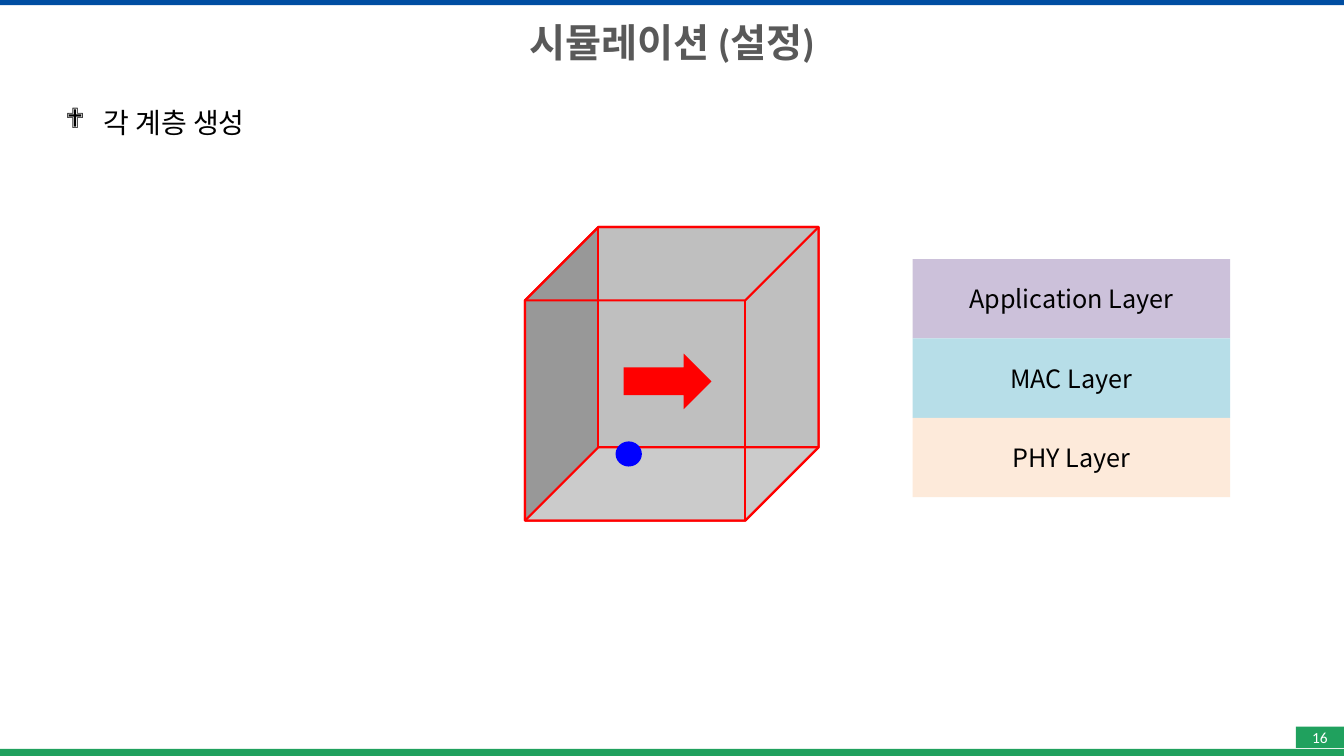
from dataclasses import dataclass

from lxml import etree
from pptx import Presentation
from pptx import util as u
from pptx.dml.color import RGBColor
from pptx.enum import shapes, text
from pptx.oxml import ns

COLORS = {
    "blue_bar": "004EA2", "green": "20A15E", "title": "595959",
    "black": "000000", "white": "FFFFFF", "cube": "BFBFBF",
    "red": "FF0000", "node": "0000FF",
    "application": "CCC1DA", "mac": "B7DEE8", "phy": "FDEADA",
}
KIND = shapes.MSO_SHAPE
LATIN, KOREAN = "Calibri", "Noto Sans CJK KR"
WIDTH, HEIGHT = 33.87, 19.05


@dataclass
class Block:
    """A preset shape; lengths in centimetres."""
    kind: int
    left: float
    top: float
    width: float
    height: float
    fill: str = ""
    line: str = ""
    rotation: float = 0
    label: str = ""
    font: str = KOREAN
    size: float = 18
    color: str = "black"


def rgb(name: str) -> RGBColor:
    return RGBColor.from_string(COLORS[name])


def add_run(paragraph, words: str, font: str, size: float, color: str,
            bold: bool = False) -> None:
    run = paragraph.add_run()
    run.text = words
    run.font.name, run.font.size, run.font.bold = font, u.Pt(size), bold
    run.font.color.rgb = rgb(color)
    east_asian = etree.SubElement(run.font._element, ns.qn("a:ea"))
    east_asian.set("typeface", KOREAN)


def place(shape, left: float, top: float, width: float, height: float) -> None:
    shape.left, shape.top = u.Cm(left), u.Cm(top)
    shape.width, shape.height = u.Cm(width), u.Cm(height)


def draw_block(slide, block: Block) -> None:
    shape = slide.shapes.add_shape(
        block.kind, u.Cm(block.left), u.Cm(block.top),
        u.Cm(block.width), u.Cm(block.height))
    shape.shadow.inherit = False
    shape.rotation = block.rotation
    if block.fill:
        shape.fill.solid()
        shape.fill.fore_color.rgb = rgb(block.fill)
    else:
        shape.fill.background()
    if block.line:
        shape.line.color.rgb = rgb(block.line)
        shape.line.width = u.Pt(1.5)
    else:
        shape.line.fill.background()
    if block.label:
        frame = shape.text_frame
        frame.margin_left = frame.margin_right = 0
        frame.margin_top = frame.margin_bottom = 0
        frame.vertical_anchor = text.MSO_ANCHOR.MIDDLE
        paragraph = frame.paragraphs[0]
        paragraph.alignment = text.PP_ALIGN.CENTER
        add_run(paragraph, block.label, block.font, block.size, block.color)


def write_title(slide, words: str) -> None:
    title = slide.shapes.title
    place(title, 0.66, 0.2, 32.54, 1.7)
    frame = title.text_frame
    frame.auto_size = text.MSO_AUTO_SIZE.NONE
    frame.vertical_anchor = text.MSO_ANCHOR.MIDDLE
    paragraph = frame.paragraphs[0]
    paragraph.alignment = text.PP_ALIGN.CENTER
    add_run(paragraph, words, LATIN, 28, "title", bold=True)


def write_bullet(slide, words: str) -> None:
    box = slide.shapes.add_textbox(u.Cm(1.4), u.Cm(2.11), u.Cm(31.8), u.Cm(15.8))
    box.text_frame.word_wrap = True
    paragraph = box.text_frame.paragraphs[0]
    paragraph.line_spacing = 1.5
    paragraph.space_after = u.Pt(6)
    properties = paragraph._p.get_or_add_pPr()
    indent = int(u.Cm(0.95))
    properties.set("marL", str(indent))
    properties.set("indent", str(-indent))
    bullet_font = etree.SubElement(properties, ns.qn("a:buFont"))
    bullet_font.set("typeface", "Wingdings")
    bullet = etree.SubElement(properties, ns.qn("a:buChar"))
    bullet.set("char", "❖")
    add_run(paragraph, words, LATIN, 20, "black")


def main() -> None:
    presentation = Presentation()
    presentation.slide_width, presentation.slide_height = u.Cm(WIDTH), u.Cm(HEIGHT)
    slide = presentation.slides.add_slide(presentation.slide_layouts[5])

    # Slide frame and page number
    frame_blocks = [
        Block(KIND.RECTANGLE, 0, 18.87, WIDTH, 0.18, "green"),
        Block(KIND.RECTANGLE, 0, 0, WIDTH, 0.13, "blue_bar"),
        Block(KIND.RECTANGLE, 32.66, 18.31, 1.21, 0.54, "green",
              label="16", font=LATIN, size=11, color="white"),
    ]

    # Transparent cube: a turned solid one behind an outline
    cube = (KIND.CUBE, 13.23, 5.72, 7.4, 7.4)
    cube_blocks = [
        Block(*cube, fill="cube", line="red", rotation=180),
        Block(*cube, line="red"),
        Block(KIND.RIGHT_ARROW, 15.72, 8.91, 2.21, 1.4, "red"),
        Block(KIND.OVAL, 15.54, 11.15, 0.61, 0.58, "node", "node"),
    ]

    # Protocol stack
    layers = [("Application Layer", "application"), ("MAC Layer", "mac"),
              ("PHY Layer", "phy")]
    layer_blocks = [
        Block(KIND.RECTANGLE, 23, 6.53 + 2 * row, 8, 2, fill, label=label)
        for row, (label, fill) in enumerate(layers)
    ]

    for block in frame_blocks + cube_blocks + layer_blocks:
        draw_block(slide, block)
    write_title(slide, "시뮬레이션 (설정)")
    write_bullet(slide, "각 계층 생성")
    presentation.save("out.pptx")


if __name__ == "__main__":
    main()
